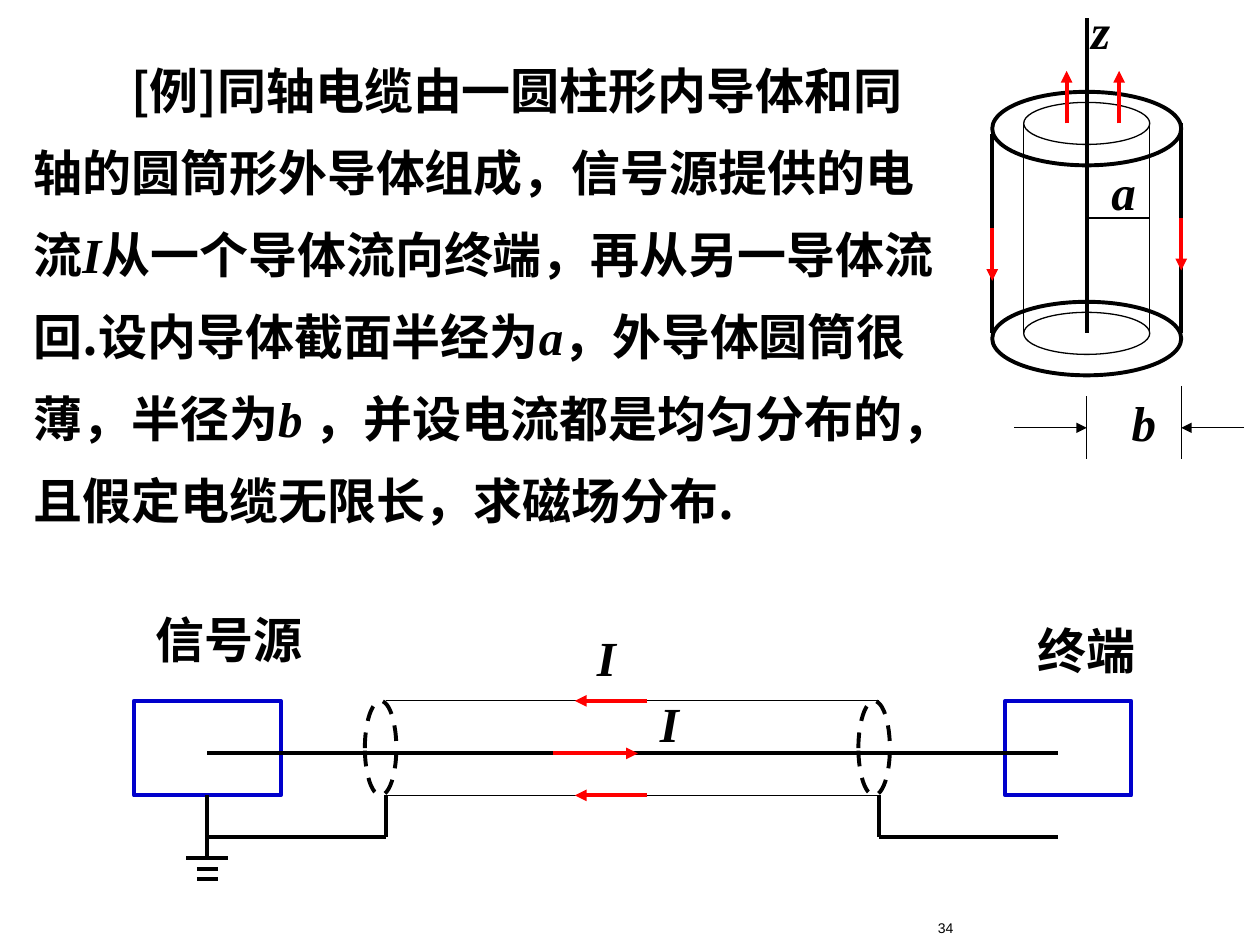
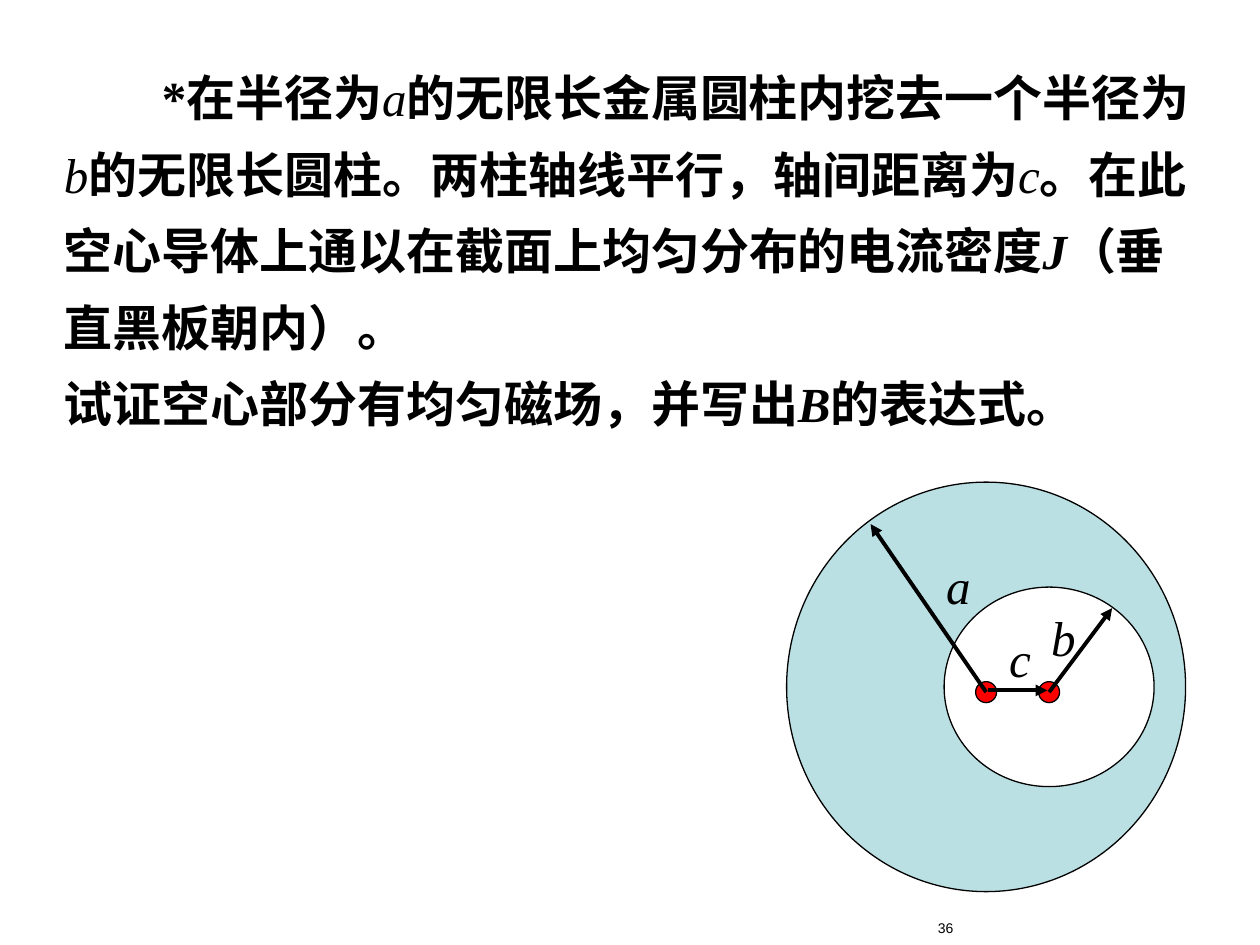
import pptx
import pptx.util
import pptx.dml.color
import pptx.enum.dml
import pptx.enum.shapes
import pptx.enum.text
import pptx.oxml.ns
from lxml import etree

Pt = pptx.util.Pt
RGB = pptx.dml.color.RGBColor.from_string
SHAPE = pptx.enum.shapes.MSO_SHAPE
ALIGN = pptx.enum.text.PP_ALIGN
qn = pptx.oxml.ns.qn

COLORS = {"ink": "000000", "current": "FF0000", "box": "0000CC",
          "metal": "BBE0E3", "paper": "FFFFFF"}
HEI, TIMES, ARIAL = "Noto Sans CJK SC", "Times New Roman", "Arial"
THIN, THICK = 0.75, 2.25
TEXT_SIZE = 28


def write_text(frame, paragraphs, size=TEXT_SIZE, spacing=None, align=ALIGN.LEFT):
    """Fill a frame; each paragraph is a list of (text, font, style), style holding b and/or i."""
    for index, runs in enumerate(paragraphs):
        paragraph = frame.paragraphs[0] if index == 0 else frame.add_paragraph()
        paragraph.alignment = align
        if spacing:
            paragraph.line_spacing = Pt(spacing)
        for text, font, style in runs:
            run = paragraph.add_run()
            run.text = text
            run.font.name = font
            run.font.size = Pt(size)
            run.font.bold = "b" in style
            run.font.italic = "i" in style
            run.font.color.rgb = RGB(COLORS["ink"])
            east_asian = etree.Element(qn("a:ea"), typeface=HEI)
            run.font._element.find(qn("a:latin")).addnext(east_asian)


def draw_line(slide, x1, y1, x2, y2, weight=THICK, color="ink", arrow=False):
    line = slide.shapes.add_connector(pptx.enum.shapes.MSO_CONNECTOR.STRAIGHT,
                                      Pt(x1), Pt(y1), Pt(x2), Pt(y2))
    line.line.width = Pt(weight)
    line.line.color.rgb = RGB(COLORS[color])
    if arrow:
        etree.SubElement(line.line._get_or_add_ln(), qn("a:tailEnd"), type="triangle")
    etree.SubElement(line._element.spPr, qn("a:effectLst"))
    return line


deck = pptx.Presentation()
deck.slide_width, deck.slide_height = Pt(720), Pt(540)
cable = deck.slides.add_slide(deck.slide_layouts[5])
cavity = deck.slides.add_slide(deck.slide_layouts[6])

# Coaxial cable: the problem
problem = cable.shapes.title
problem.left, problem.top, problem.width, problem.height = Pt(12), Pt(16.5), Pt(534), Pt(291)
problem.text_frame.word_wrap = True
problem.text_frame.auto_size = pptx.enum.text.MSO_AUTO_SIZE.NONE
problem.text_frame.vertical_anchor = pptx.enum.text.MSO_ANCHOR.MIDDLE
write_text(problem.text_frame, [[
    ("\u3000\u3000[例]同轴电缆由一圆柱形内导体和同轴的圆筒形外导体组成，信号源提供的电流", HEI, "b"),
    ("I", TIMES, "bi"),
    ("从一个导体流向终端，再从另一导体流回.设内导体截面半经为", HEI, "b"),
    ("a", TIMES, "bi"),
    ("，外导体圆筒很薄，半径为", HEI, "b"),
    ("b ", TIMES, "bi"),
    ("，并", TIMES, "b"),
    ("设", HEI, "b"),
    ("电流都是均匀分布的，且假定", TIMES, "b"),
    ("电缆无限长，求磁场分布.", HEI, "b"),
]], spacing=46.9)

# Hollow cylinder: the problem
question = cavity.shapes.add_textbox(Pt(29.5), Pt(25), Pt(664.5), Pt(174))
question.text_frame.word_wrap = True
write_text(question.text_frame, [
    [("\u3000\u3000*在半径为", TIMES, "b"), ("a", TIMES, "i"),
     ("的无限长金属圆柱内挖去一个半径为", TIMES, "b"), ("b", TIMES, "i"),
     ("的无限长圆柱。两柱轴线平行，轴间距离为", TIMES, "b"), ("c", TIMES, "i"),
     ("。在此空心导体上通以在截面上均匀分布的电流密度", TIMES, "b"), ("J", TIMES, "bi"),
     ("（垂直黑板朝内）。", TIMES, "b")],
    [("试证空心部分有均匀磁场，并写出", TIMES, "b"), ("B", TIMES, "bi"),
     ("的表达式。", TIMES, "b")],
], spacing=43.7)

# Outlines: slide, preset, left, top, width, height, fill, line colour, weight, dashed
SHEATH_TOP, SHEATH_BOTTOM, CORE, RETURN = 400.5, 454.5, 430.5, 478.5
outlines = [(cable, SHAPE.OVAL, x, SHEATH_TOP, 18, 54, None, "ink", THICK, True)
            for x in (208.5, 490.5)]
for y in (0, 120):
    outlines += [(cable, SHAPE.OVAL, 585, 58.5 + y, 72, 24, None, "ink", THIN, False),
                 (cable, SHAPE.OVAL, 567, 52.5 + y, 108, 42, None, "ink", THICK, False)]
outlines += [
    (cavity, SHAPE.OVAL, 449.5, 275.5, 228, 234, "metal", "ink", THIN, False),
    (cavity, SHAPE.OVAL, 539.5, 335.5, 120, 114, "paper", "ink", THIN, False),
    (cavity, SHAPE.OVAL, 557.5, 389.5, 12, 12, "current", "ink", THIN, False),
    (cavity, SHAPE.OVAL, 593.5, 389.5, 12, 12, "current", "ink", THIN, False),
    (cable, SHAPE.RECTANGLE, 574.5, SHEATH_TOP, 72, 54, None, "box", THICK, False),
    (cable, SHAPE.RECTANGLE, 76.5, SHEATH_TOP, 84, 54, None, "box", THICK, False),
]
for slide, preset, x, y, width, height, fill, color, weight, dashed in outlines:
    outline = slide.shapes.add_shape(preset, Pt(x), Pt(y), Pt(width), Pt(height))
    outline.shadow.inherit = False
    outline.line.color.rgb = RGB(COLORS[color])
    outline.line.width = Pt(weight)
    if dashed:
        outline.line.dash_style = pptx.enum.dml.MSO_LINE.DASH
    if fill:
        outline.fill.solid()
        outline.fill.fore_color.rgb = RGB(COLORS[fill])
    else:
        outline.fill.background()
signal_source = outline

# Circuit: sheath, core, return wires and ground
for y in (SHEATH_TOP, SHEATH_BOTTOM):
    draw_line(cable, 220.5, y, 502.5, y, THIN)
    draw_line(cable, 370, y, 328.5, y, color="current", arrow=True)
draw_line(cable, 118.5, CORE, 604.5, CORE)
draw_line(cable, 316, CORE, 364.5, CORE, color="current", arrow=True)
ground_wire = draw_line(cable, 118.5, SHEATH_BOTTOM, 118.5, 490.5)
ground_wire.begin_connect(signal_source, 2)
for sheath_x, end_x in ((220.5, 118.5), (502.5, 604.5)):
    draw_line(cable, sheath_x, SHEATH_BOTTOM, sheath_x, RETURN)
    draw_line(cable, sheath_x, RETURN, end_x, RETURN)
for step, half_width in enumerate((12, 6, 6)):
    y = 490.5 + 6 * step
    draw_line(cable, 118.5 - half_width, y, 118.5 + half_width, y)

# Cylinder: walls, axis, radii and currents
AXIS, INNER, OUTER = 621, 657, 675
for x in (585, INNER):
    draw_line(cable, x, 70.5, x, 190.5, THIN)
draw_line(cable, 567, 76.5, 567, 190.5)
draw_line(cable, OUTER, 70.5, OUTER, 190.5)
draw_line(cable, AXIS, 10.5, AXIS, 190.5)
draw_line(cable, AXIS, 124.5, INNER, 124.5, THIN)
for x, start, end in ((609.5, 70.5, 40.5), (639.5, 70.5, 40.5),
                      (567, 130.5, 160.5), (OUTER, 124.5, 154.5)):
    draw_line(cable, x, start, x, end, color="current", arrow=True)
for x, top, tail in ((AXIS, 226.5, 579.5), (OUTER, 220.5, 711)):
    draw_line(cable, x, top, x, 262.5, THIN)
    draw_line(cable, tail, 244.5, x, 244.5, THIN, arrow=True)

# Hollow cylinder: radii and distance between axes
for x1, y1, x2, y2 in ((599.5, 395.5, 635.5, 347.5), (563.5, 395.5, 497.5, 299.5),
                       (564.5, 394.5, 598.5, 394.5)):
    draw_line(cavity, x1, y1, x2, y2, arrow=True)

for slide, text, x, y, width, font, style in (
        (cable, "I", 370, 392.5, 25, TIMES, "bi"),
        (cable, "I", 334, 355, 25, TIMES, "bi"),
        (cable, "终端", 586, 351, 70.5, HEI, "b"),
        (cable, "信号源", 82, 345, 98.5, HEI, "b"),
        (cable, "z", 616.5, -3.5, 25, TIMES, "bi"),
        (cable, "b", 639.5, 221, 29, TIMES, "bi"),
        (cable, "a", 628, 88.5, 29, TIMES, "bi"),
        (cavity, "c", 569.5, 355.5, 26.5, TIMES, "i"),
        (cavity, "b", 593.5, 343.5, 29, TIMES, "i"),
        (cavity, "a", 533.5, 314, 29, TIMES, "i")):
    label = slide.shapes.add_textbox(Pt(x), Pt(y), Pt(width), Pt(41))
    label.text_frame.word_wrap = False
    write_text(label.text_frame, [[(text, font, style)]])

for slide, page in ((cable, "34"), (cavity, "36")):
    number = slide.shapes.add_textbox(Pt(486), Pt(522), Pt(66), Pt(18))
    number.text_frame.word_wrap = True
    write_text(number.text_frame, [[(page, ARIAL, "")]], size=8, align=ALIGN.RIGHT)

deck.save("out.pptx")
